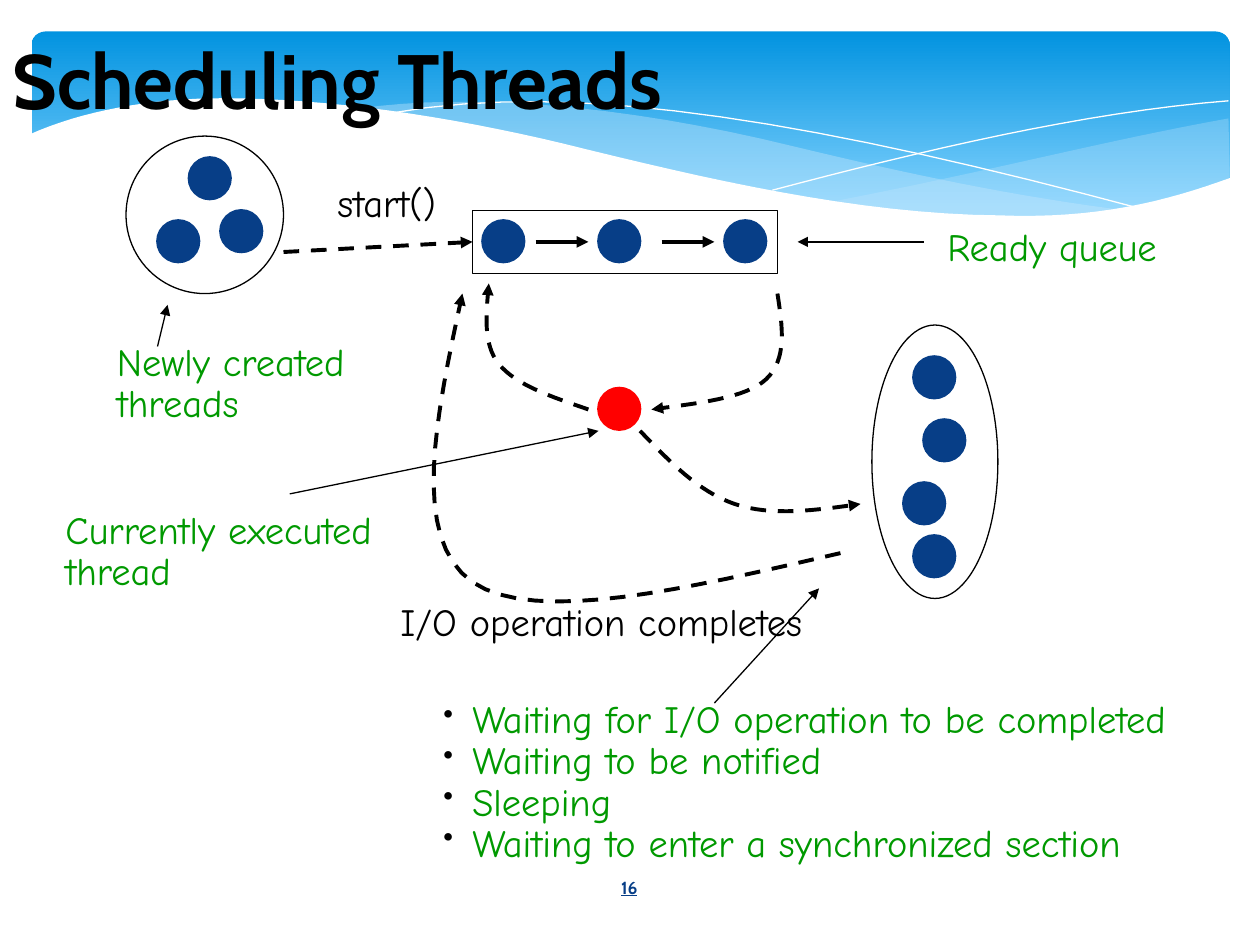
from lxml import etree
from pptx import Presentation
from pptx.dml.color import RGBColor
from pptx.enum.dml import MSO_LINE
from pptx.enum.shapes import MSO_CONNECTOR, MSO_SHAPE
from pptx.enum.text import MSO_ANCHOR, PP_ALIGN
from pptx.oxml.ns import qn
from pptx.util import Inches, Pt

OVAL, RECT, ROUND = MSO_SHAPE.OVAL, MSO_SHAPE.RECTANGLE, MSO_SHAPE.ROUNDED_RECTANGLE
DASH, LINE = MSO_LINE.DASH, MSO_CONNECTOR.STRAIGHT
MID, TOP = MSO_ANCHOR.MIDDLE, MSO_ANCHOR.TOP
LEFT, MIDDLE = PP_ALIGN.LEFT, PP_ALIGN.CENTER
NAVY, GREEN, BLACK, WHITE, RED = "073E87", "009900", "000000", "FFFFFF", "FF0000"
DOT = 0.33


def color(code):
    """Turn a hex string into a colour."""
    return RGBColor.from_string(code)


def node(parent, tag, **attrs):
    """Append a drawing element to a parent."""
    return etree.SubElement(parent, qn(tag), attrs)


def stroke(line, code, width, dash=False, arrow=False):
    """Style a line, with an optional dash and arrowhead."""
    line.color.rgb = color(code)
    line.width = Pt(width)
    if dash:
        line.dash_style = DASH
    if arrow:
        node(line._get_or_add_ln(), "a:tailEnd", type="triangle")


def text(slide, x, y, w, h, lines, size=22, font="Comic Neue", code=GREEN, bold=False,
         under=False, align=LEFT, anchor=TOP, tight=True, bullet=False):
    """Add a text box with one paragraph for each line."""
    frame = slide.shapes.add_textbox(Inches(x), Inches(y), Inches(w), Inches(h)).text_frame
    frame.word_wrap = True
    frame.vertical_anchor = anchor
    for i, words in enumerate(lines):
        para = frame.add_paragraph() if i else frame.paragraphs[0]
        para.alignment = align
        if tight:
            para.line_spacing = 0.7
            para.space_before = Pt(5)
        if bullet:
            props = para._p.get_or_add_pPr()
            props.set("marL", str(Inches(0.23)))
            props.set("indent", str(Inches(-0.23)))
            node(node(props, "a:buClr"), "a:srgbClr", val=BLACK)
            node(props, "a:buSzPct", val="75000")
            node(props, "a:buChar", char="•")
        run = para.add_run()
        run.text = words
        run.font.name, run.font.size = font, Pt(size)
        run.font.bold, run.font.underline = bold, under
        run.font.color.rgb = color(code)


def shape(slide, kind, x, y, w, h, fill=WHITE, edge=BLACK, width=0.75):
    """Add a filled and outlined preset shape."""
    item = slide.shapes.add_shape(kind, Inches(x), Inches(y), Inches(w), Inches(h))
    item.shadow.inherit = False
    item.fill.solid()
    item.fill.fore_color.rgb = color(fill)
    stroke(item.line, edge, width)
    return item


def dots(slide, x, y, spots, code=NAVY):
    """Add thread dots at offsets from a corner."""
    for dx, dy in spots:
        shape(slide, OVAL, x + dx, y + dy, DOT, DOT, code, code, 1.5)


def arrow(slide, x, y, start, end, width=0.75, dash=False):
    """Add a straight arrow between two offsets from a corner."""
    (ax, ay), (bx, by) = start, end
    item = slide.shapes.add_connector(
        LINE, Inches(x + ax), Inches(y + ay), Inches(x + bx), Inches(y + by))
    stroke(item.line, BLACK, width, dash, True)
    node(item._element.spPr, "a:effectLst")
    return item


def bend(knots, steps=16):
    """List the points along a chain of cubic curves."""
    points = [knots[0]]
    for i in range(0, len(knots) - 1, 3):
        for step in range(1, steps + 1):
            t = step / steps
            parts = ((1 - t) ** 3, 3 * t * (1 - t) ** 2, 3 * t * t * (1 - t), t ** 3)
            points.append(tuple(
                sum(p * knot[axis] for p, knot in zip(parts, knots[i:i + 4]))
                for axis in (0, 1)))
    return points


def curve(slide, x, y, knots, corners=(), closed=False):
    """Add a curved outline through knots and then straight corners."""
    points = [(Inches(x + dx), Inches(y + dy)) for dx, dy in bend(knots) + list(corners)]
    pen = slide.shapes.build_freeform(*points[0])
    pen.add_line_segments(points[1:], close=closed)
    item = pen.convert_to_shape()
    item.shadow.inherit = False
    item.fill.background()
    return item


def wave(slide, x, y, knots, corners=(), code="C6E7FC", alpha=100):
    """Add a filled wave without an outline."""
    item = curve(slide, x, y, knots, corners, True)
    item.line.fill.background()
    item.fill.solid()
    item.fill.fore_color.rgb = color(code)
    tint = item._element.spPr.find(qn("a:solidFill"))[0]
    node(tint, "a:alpha", val=str(alpha * 1000))


def banner(slide, x, y, w, h):
    """Draw the blue banner with its waves."""
    back = shape(slide, ROUND, x, y, w, h)
    back.adjustments[0] = 0.071
    back.line.fill.background()
    back.fill.gradient()
    back.fill.gradient_angle = 270
    for stop, (at, code) in zip(back.fill.gradient_stops, ((0, "0293E0"), (0.9, "83D3FE"))):
        stop.position = at
        stop.color.rgb = color(code)
    wave(slide, x, y, [(9.5, 0.69), (8.5, 0.87), (7.65, 1.1), (6.36, 1.35),
                       (7.65, 1.55), (8.65, 1.52), (9.51, 1.16)], alpha=29)
    wave(slide, x, y, [(8.68, 1.42), (7.8, 1.31), (6.95, 1.13), (6.04, 0.91),
                       (4.65, 0.57), (3.45, 0.49), (2.61, 0.61),
                       (4.55, 0.83), (6.35, 1.7), (8.68, 1.42)], alpha=40)
    for knots in ([(2.84, 0.65), (4.35, 0.37), (6.35, 0.75), (8.82, 1.41)],
                  [(5.88, 1.26), (7.05, 0.95), (8.35, 0.64), (9.5, 0.55)]):
        stroke(curve(slide, x, y, knots).line, WHITE, 0)
    wave(slide, x, y, [(-0.02, 0.82), (0.4, 0.63), (0.95, 0.53), (1.52, 0.53),
                       (2.35, 0.53), (3.3, 0.67), (4.22, 0.89),
                       (5.35, 1.17), (6.55, 1.45), (7.68, 1.46),
                       (8.45, 1.49), (9, 1.35), (9.52, 1.16)],
         [(9.52, 1.99), (-0.02, 1.99)], WHITE)


def pool(slide, x, y, w, h, spots):
    """Draw an oval that holds threads."""
    shape(slide, OVAL, x, y, w, h)
    dots(slide, x, y, spots)


def queue(slide, x, y, w, h):
    """Draw the ready queue and the arrow into it."""
    box = shape(slide, RECT, x, y, w, h)
    dots(slide, x, y, [(0.08, 0.08), (1, 0.08), (2, 0.08)])
    for left in (0.5, 1.5):
        arrow(slide, x, y, (left, h / 2), (left + 0.42, h / 2), 2.25)
    arrow(slide, x, y, (-1.5, 0.33), (0, h / 2), 2.25, True).end_connect(box, 1)


def moves(slide, x, y):
    """Draw the running thread and its dashed moves."""
    dots(slide, x, y, [(1.5, 0.83)], RED)
    for knots in (
        [(2.92, 0.08), (2.96, 0.34), (3, 0.6), (2.83, 0.76),
         (2.67, 0.91), (2.29, 0.95), (1.92, 1)],
        [(1.83, 1.17), (2.06, 1.41), (2.29, 1.65), (2.58, 1.75),
         (2.87, 1.85), (3.23, 1.8), (3.58, 1.75)],
        [(1.42, 1), (1.13, 0.9), (0.85, 0.81), (0.71, 0.64),
         (0.58, 0.48), (0.61, 0.24), (0.63, 0)],
        [(3.42, 2.14), (2.21, 2.42), (1, 2.71), (0.5, 2.37),
         (0, 2.02), (0.21, 1.05), (0.42, 0.08)],
    ):
        stroke(curve(slide, x, y, knots).line, BLACK, 2.25, True, True)


def note(slide, x, y, w, h, lines, start, end, bullet=False):
    """Add a green label with an arrow to what it names."""
    text(slide, x, y, w, h, lines, bullet=bullet)
    arrow(slide, x, y, start, end)


def main():
    """Build and save the slide."""
    deck = Presentation()
    deck.slide_width, deck.slide_height = Inches(10), Inches(7.5)
    slide = deck.slides.add_slide(deck.slide_layouts[6])
    banner(slide, 0.25, 0.25, 9.51, 1.56)
    text(slide, 4.36, 6.84, 1.27, 0.4, ["16"], size=10, font="Cabin", code=NAVY,
         bold=True, under=True, align=MIDDLE, anchor=MID, tight=False)
    text(slide, 0, 0, 8.5, 1.25, ["Scheduling Threads"], size=44, font="Cabin",
         code=BLACK, bold=True, anchor=MID, tight=False)
    pool(slide, 6.92, 2.58, 1, 2.17,
         [(0.33, 0.25), (0.41, 0.75), (0.25, 1.25), (0.33, 1.67)])
    pool(slide, 1, 1.08, 1.25, 1.25, [(0.25, 0.67), (0.5, 0.17), (0.75, 0.59)])
    queue(slide, 3.75, 1.67, 2.42, 0.5)
    moves(slide, 3.25, 2.25)
    text(slide, 3.08, 4.8, 3.73, 0.36, ["I/O operation completes"], code=BLACK)
    text(slide, 2.58, 1.47, 1.16, 0.36, ["start()"], code=BLACK)
    note(slide, 0.42, 4.07, 2.97, 0.69, ["Currently executed", "thread"],
         (1.88, -0.15), (4.33, -0.65))
    note(slide, 7.42, 1.82, 1.96, 0.36, ["Ready queue"], (-0.09, 0.1), (-1.09, 0.1))
    note(slide, 3.42, 5.57, 6.44, 1.35,
         ["Waiting for I/O operation to be completed", "Waiting to be notified",
          "Sleeping", "Waiting to enter a synchronized section"],
         (2.25, 0.01), (3.08, -0.9), True)
    note(slide, 0.83, 2.73, 2.27, 0.69, ["Newly created", "threads"],
         (0.42, 0.02), (0.5, -0.31))
    deck.save("out.pptx")


if __name__ == "__main__":
    main()
